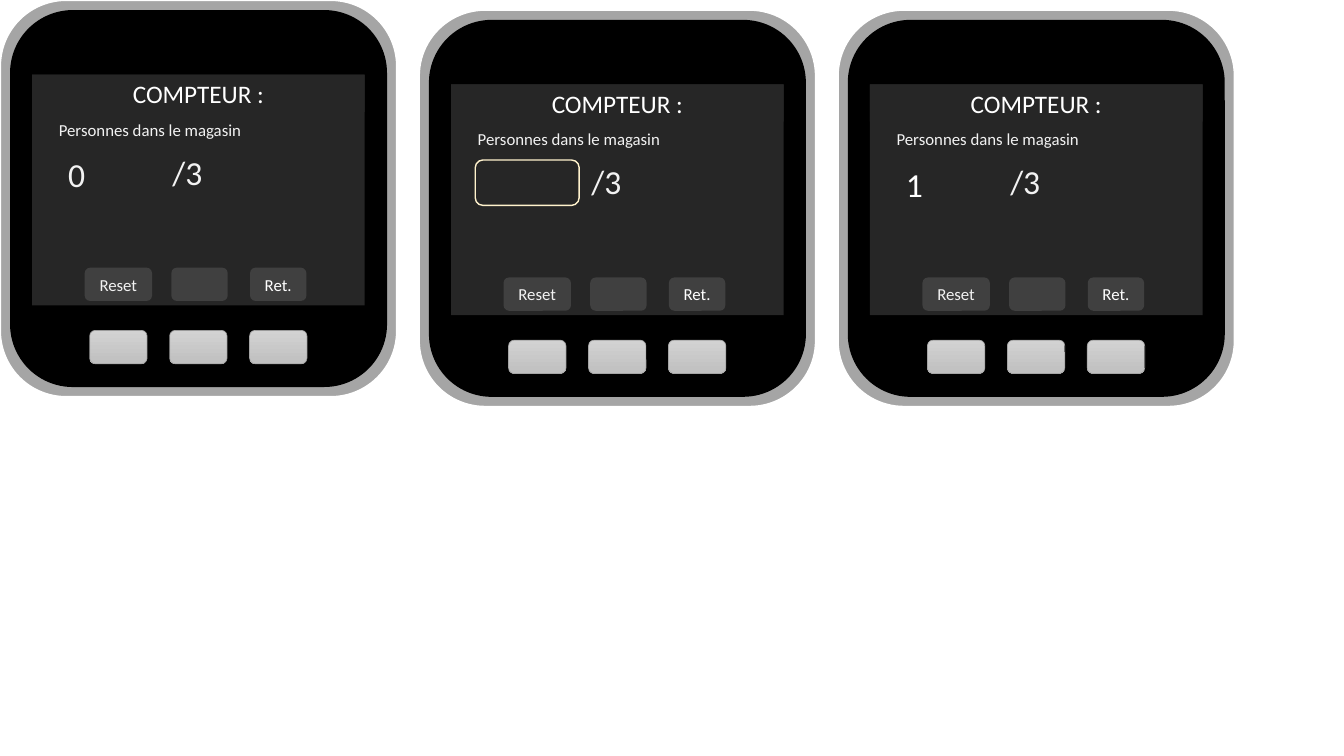
from pptx import Presentation
from pptx.dml.color import RGBColor
from pptx.enum.shapes import MSO_SHAPE
from pptx.enum.text import MSO_ANCHOR, PP_ALIGN
from pptx.util import Pt

counts = [("0", "F2F2F2"), None, ("1", "FFFFFF")]
tops = [0, 7, 7]
step = 299.2
labels = [
    ("COMPTEUR :", (23, 53.3, 237.6, 26.6),
     dict(size=18, color="FFFFFF", align=PP_ALIGN.CENTER)),
    ("Personnes dans le magasin", (33.8, 80.6, 180, 23.8), dict(size=12)),
    ("/3", (114.5, 105.8, 48.2, 33.8), dict(size=24)),
]
buttons = [("Reset", 60.5, 48.2, "F2F2F2"), ("", 122.4, 40.3, "FFFFFF"),
           ("Ret.", 178.6, 40.3, "FFFFFF")]
dark, gray = "262626", "A5A5A5"


def rgb(code):
    return RGBColor.from_string(code)


def draw(home, left, top, box, fill, kind=MSO_SHAPE.ROUNDED_RECTANGLE,
         line=None, width=1):
    x, y, w, h = box
    shape = home.add_shape(kind, Pt(left + x), Pt(top + y), Pt(w), Pt(h))
    shape.shadow.inherit = False
    if isinstance(fill, tuple):
        shape.fill.gradient()
        shape.fill.gradient_angle = 270
        for stop, code, spot in zip(shape.fill.gradient_stops, fill, (0, 1)):
            stop.color.rgb = rgb(code)
            stop.position = spot
    else:
        shape.fill.solid()
        shape.fill.fore_color.rgb = rgb(fill)
    if line:
        shape.line.color.rgb = rgb(line)
        shape.line.width = Pt(width)
    else:
        shape.line.fill.background()
    return shape


def write(shape, text, size=12, color="F2F2F2", align=PP_ALIGN.LEFT):
    frame = shape.text_frame
    frame.word_wrap = True
    frame.vertical_anchor = MSO_ANCHOR.MIDDLE
    para = frame.paragraphs[0]
    para.alignment = align
    run = para.add_run()
    run.text = text
    run.font.name = "Calibri"
    run.font.size = Pt(size)
    run.font.color.rgb = rgb(color)


def device(shapes, left, top, count):
    case = shapes.add_group_shape().shapes
    draw(case, left, top, (0, 0, 283.6, 283.6), gray, line="FFFFFF", width=1.5)
    draw(case, left, top, (7.2, 7.2, 269.3, 269.3), "000000")
    for i in range(3):
        draw(case, left, top, (64.1 + 57.1 * i, 236, 41, 23.8),
             ("D2D2D2", "C0C0C0"), line=gray, width=0.5)
    draw(case, left, top, (23, 53.3, 237.6, 164.9), dark, MSO_SHAPE.RECTANGLE)

    for text, box, style in labels:
        kind = MSO_SHAPE.RECTANGLE if text == "COMPTEUR :" else MSO_SHAPE.ROUNDED_RECTANGLE
        write(draw(shapes, left, top, box, dark, kind), text, **style)
    for text, x, w, color in buttons:
        button = draw(shapes, left, top, (x, 191.2, w, 23.8), "404040")
        if text:
            write(button, text, color=color, align=PP_ALIGN.CENTER)
    if count:
        digit, color = count
        write(draw(shapes, left, top, (40.3, 107.3, 28, 33.8), dark),
              digit, size=24, color=color)
    else:
        draw(shapes, left, top, (40.3, 107.3, 74.2, 32.4), dark, line="FFF2CC")


deck = Presentation()
deck.slide_width, deck.slide_height = Pt(960), Pt(540)
slide = deck.slides.add_slide(deck.slide_layouts[6])
for i, (top, count) in enumerate(zip(tops, counts)):
    device(slide.shapes, step * i, top, count)
deck.save("out.pptx")
